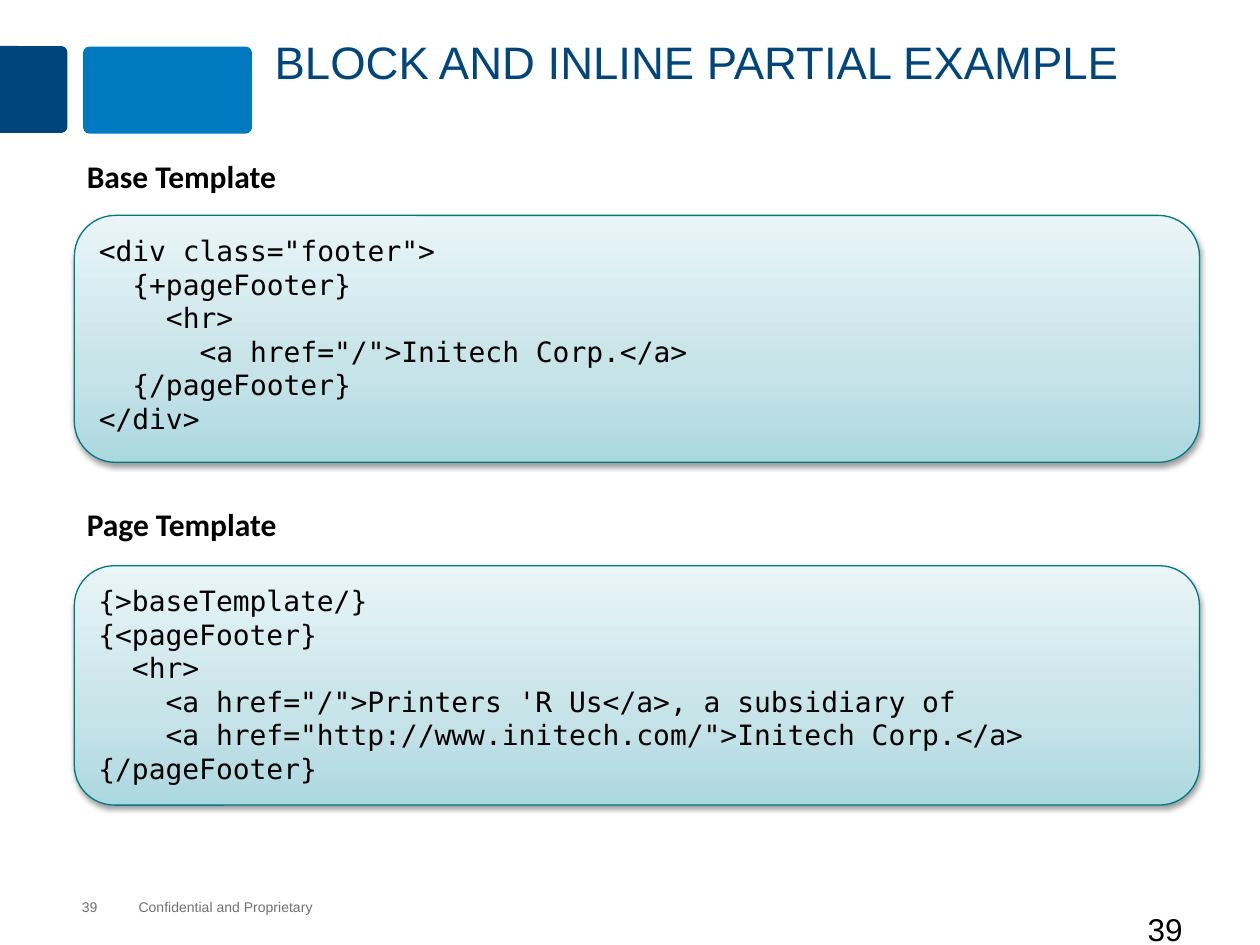
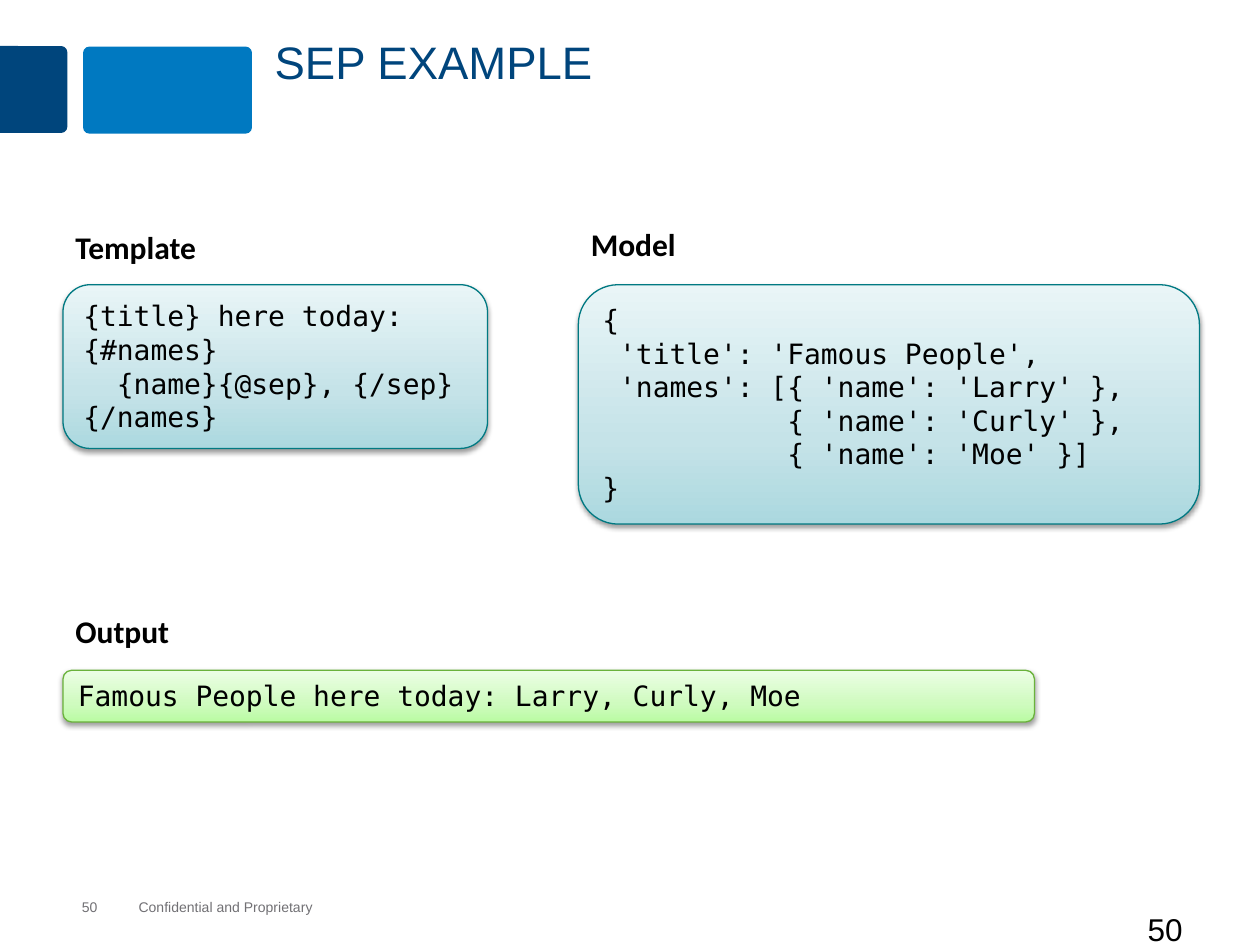
import copy

import lxml.etree
import pptx
import pptx.dml.color
import pptx.enum.shapes
import pptx.enum.text
import pptx.oxml.ns
import pptx.util

Inches = pptx.util.Inches
Pt = pptx.util.Pt
SHAPE = pptx.enum.shapes.MSO_SHAPE
ANCHOR = pptx.enum.text.MSO_ANCHOR
qn = pptx.oxml.ns.qn

NAVY, BLUE, GRAY, BLACK = "00457C", "0079C1", "717074", "000000"
TEAL_PANEL = {"stops": [(0, "ABD8DF"), (35, "C5E3E8"), (100, "E9F5F7")], "line": "007982"}
GREEN_PANEL = {"stops": [(0, "BAFBA3"), (35, "CFFBBF"), (100, "ECFEE5")], "line": "6AB23B"}

BASE_TEMPLATE = [
    """<div class="footer">
  {+pageFooter}
    <hr>""",
    """      <a href="/">Initech Corp.</a>
  {/pageFooter}
</div>""",
]
PAGE_TEMPLATE = ["""{>baseTemplate/}
{<pageFooter}
  <hr>
    <a href="/">Printers 'R Us</a>, a subsidiary of
    <a href="http://www.initech.com/">Initech Corp.</a>
{/pageFooter}"""]
SEP_TEMPLATE = ["""{title} here today:
{#names}
  {name}{@sep}, {/sep}
{/names}"""]
SEP_MODEL = ["""{
 'title': 'Famous People',
 'names': [{ 'name': 'Larry' },
           { 'name': 'Curly' },
           { 'name': 'Moe' }]
}"""]
SEP_OUTPUT = ["Famous People here today: Larry, Curly, Moe"]


def rgb(value):
    return pptx.dml.color.RGBColor.from_string(value)


def write(tf, paragraphs, size=18, font="Arial", color=BLACK, bold=False,
          anchor=ANCHOR.TOP, inset=None, spacing=None):
    tf.word_wrap = True
    tf.auto_size = pptx.enum.text.MSO_AUTO_SIZE.NONE
    tf.vertical_anchor = anchor
    if inset is not None:
        tf.margin_left = tf.margin_right = tf.margin_top = tf.margin_bottom = Inches(inset)
    for i, text in enumerate(paragraphs):
        p = tf.paragraphs[0] if i == 0 else tf.add_paragraph()
        p.alignment = pptx.enum.text.PP_ALIGN.LEFT
        if spacing:
            p.line_spacing = spacing
        for j, line in enumerate(text.split("\n")):
            if j:
                p.add_line_break()
            r = p.add_run()
            r.text = line
            r.font.size = Pt(size)
            r.font.name = font
            r.font.bold = bold
            r.font.color.rgb = rgb(color)
        for br in p._p.findall(qn("a:br")):
            br.append(copy.deepcopy(r.font._element))


def add_text(slide, box, text, **fmt):
    sp = slide.shapes.add_textbox(*map(Inches, box))
    write(sp.text_frame, [text], **fmt)


def add_block(slide, kind, box, color, adjustments):
    sp = slide.shapes.add_shape(kind, *map(Inches, box))
    sp.shadow.inherit = False
    sp.fill.solid()
    sp.fill.fore_color.rgb = rgb(color)
    sp.line.fill.background()
    for i, value in enumerate(adjustments):
        sp.adjustments[i] = value
    return sp


def add_color(parent, value):
    return lxml.etree.SubElement(parent, qn("a:srgbClr"), val=value)


def set_gradient(sp, stops):
    sp.fill.gradient()
    sp.fill.gradient_angle = 90
    stop_list = sp._element.spPr.find(qn("a:gradFill")).find(qn("a:gsLst"))
    for gs in list(stop_list):
        stop_list.remove(gs)
    for pos, color in stops:
        add_color(lxml.etree.SubElement(stop_list, qn("a:gs"), pos=str(pos * 1000)), color)


def set_shadow(sp):
    sp.shadow.inherit = False
    effects = sp._element.spPr.find(qn("a:effectLst"))
    shadow = lxml.etree.SubElement(
        effects, qn("a:outerShdw"), blurRad=str(Pt(3.1)), dist=str(Pt(1.6)),
        dir="5400000", rotWithShape="0")
    lxml.etree.SubElement(add_color(shadow, BLACK), qn("a:alpha"), val="38000")


def add_panel(slide, box, label, code, style=TEAL_PANEL, label_gap=0.51):
    left, top, width, height = box
    sp = slide.shapes.add_shape(SHAPE.ROUNDED_RECTANGLE, *map(Inches, box))
    set_gradient(sp, style["stops"])
    sp.line.color.rgb = rgb(style["line"])
    sp.line.width = Pt(0.75)
    set_shadow(sp)
    write(sp.text_frame, code, size=16, font="DejaVu Sans Mono")
    add_text(slide, (left, top - label_gap, 2.55, 0.5), label, font="Calibri", bold=True)


def add_bands(slide):
    tab = add_block(slide, SHAPE.ROUND_2_SAME_RECTANGLE, (-0.08, 0.44, 0.69, 0.54),
                    NAVY, (0.09, 0))
    tab.rotation = 90
    tab._element.spPr.find(qn("a:xfrm")).set("flipH", "1")
    add_block(slide, SHAPE.ROUNDED_RECTANGLE, (0.66, 0.37, 1.34, 0.69), BLUE, (0.07,))


def add_footer(slide, number):
    small = {"size": 8, "color": GRAY, "anchor": ANCHOR.MIDDLE, "inset": 0}
    add_text(slide, (1.1, 7.13, 1.6, 0.13), "Confidential and Proprietary", **small)
    add_text(slide, (0.65, 7.13, 0.4, 0.13), str(number), **small)
    add_text(slide, (9.01, 7.17, 0.99, 0.5), str(number))


def add_slide(prs, title, number):
    slide = prs.slides.add_slide(prs.slide_layouts[5])
    sp = slide.shapes.title
    sp.left, sp.top, sp.width, sp.height = map(Inches, (2.08, 0.25, 7.67, 0.91))
    write(sp.text_frame, [title], size=26, color=NAVY, spacing=0.95)
    add_bands(slide)
    add_footer(slide, number)
    return slide


def build_partials(prs):
    slide = add_slide(prs, "BLOCK AND INLINE PARTIAL EXAMPLE", 39)
    add_panel(slide, (0.59, 1.71, 8.93, 1.96), "Base Template", BASE_TEMPLATE)
    add_panel(slide, (0.59, 4.49, 8.93, 1.9), "Page Template", PAGE_TEMPLATE, label_gap=0.53)


def build_sep(prs):
    slide = add_slide(prs, "SEP EXAMPLE", 50)
    add_panel(slide, (0.5, 2.26, 3.37, 1.3), "Template", SEP_TEMPLATE, label_gap=0.5)
    add_panel(slide, (4.59, 2.26, 4.93, 1.9), "Model", SEP_MODEL, label_gap=0.52)
    add_panel(slide, (0.5, 5.32, 7.71, 0.41), "Output", SEP_OUTPUT, GREEN_PANEL)


def main():
    prs = pptx.Presentation()
    prs.slide_width, prs.slide_height = Inches(10), Inches(7.5)
    build_partials(prs)
    build_sep(prs)
    prs.save("out.pptx")


if __name__ == "__main__":
    main()
